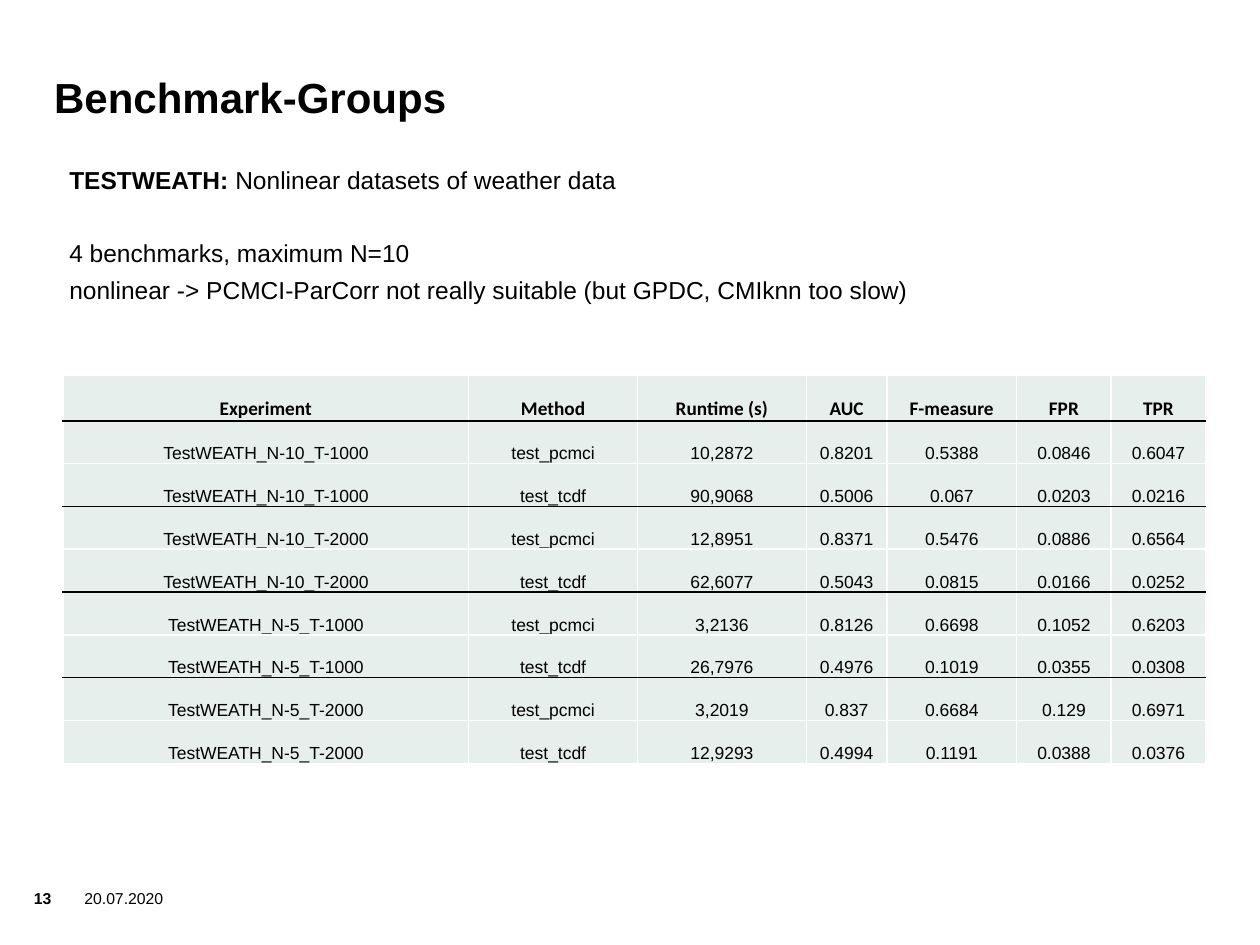
import pptx
import pptx.dml.color
import pptx.enum.text
import pptx.oxml
import pptx.oxml.ns
import pptx.util
from pptx.util import Inches

COLORS = {"text": "000000", "rule": "000000", "grid": "FFFFFF", "cell": "E7EFED"}


class SlideBuilder:
    """Holds the text style and the current slide."""

    def __init__(self, slide, font="Arial"):
        self.slide = slide
        self.font = font

    def style_run(self, r, size, bold=False, font=None):
        r.font.name = font or self.font
        r.font.size = pptx.util.Pt(size)
        r.font.bold = bold
        r.font.color.rgb = pptx.dml.color.RGBColor.from_string(COLORS["text"])

    def text(self, box, lines, size, anchor="TOP", indent=0):
        """Each line is (space before in points, [(text, bold), ...])."""
        sp = self.slide.shapes.add_textbox(*[Inches(v) for v in box])
        tf = sp.text_frame
        tf.word_wrap = True
        tf.vertical_anchor = pptx.enum.text.MSO_ANCHOR[anchor]
        tf.margin_left = tf.margin_right = tf.margin_top = tf.margin_bottom = 0
        for i, (space, runs) in enumerate(lines):
            p = tf.add_paragraph() if i else tf.paragraphs[0]
            p.space_before = pptx.util.Pt(space)
            if indent:
                p._p.get_or_add_pPr().set("marL", str(Inches(indent)))
            for content, bold in runs:
                r = p.add_run()
                r.text = content
                self.style_run(r, size, bold)

    def border(self, cell, side, color):
        ln = pptx.oxml.parse_xml(
            f'<a:ln{side} {pptx.oxml.ns.nsdecls("a")} w="12700"><a:solidFill>'
            f'<a:srgbClr val="{COLORS[color]}"/></a:solidFill></a:ln{side}>')
        cell._tc.get_or_add_tcPr().append(ln)

    def cell(self, cell, content, header, top, bottom):
        cell.margin_left = cell.margin_right = cell.margin_top = Inches(0.01)
        cell.margin_bottom = 0
        cell.vertical_anchor = pptx.enum.text.MSO_ANCHOR.BOTTOM
        for side, color in (("L", "grid"), ("R", "grid"), ("T", top), ("B", bottom)):
            self.border(cell, side, color)
        cell.fill.solid()
        cell.fill.fore_color.rgb = pptx.dml.color.RGBColor.from_string(COLORS["cell"])
        p = cell.text_frame.paragraphs[0]
        p.text = content
        p.alignment = pptx.enum.text.PP_ALIGN.CENTER
        if header:
            self.style_run(p.runs[0], 11, True, "Calibri")
        else:
            self.style_run(p.runs[0], 10)

    def table(self, left, top, widths, header_height, row_height, rows):
        heights = [header_height] + [row_height] * (len(rows) - 1)
        frame = self.slide.shapes.add_table(
            len(rows), len(widths), Inches(left), Inches(top),
            Inches(sum(widths)), Inches(sum(heights)))
        table = frame.table
        for column, width in zip(table.columns, widths):
            column.width = Inches(width)
        for i, (height, values) in enumerate(zip(heights, rows)):
            table.rows[i].height = Inches(height)
            # A dark rule follows the header and each pair of results
            above = "rule" if i % 2 else "grid"
            below = "rule" if i % 2 == 0 and i < len(rows) - 1 else "grid"
            for j, value in enumerate(values):
                self.cell(table.cell(i, j), value, i == 0, above, below)


HEADER = ["Experiment", "Method", "Runtime (s)", "AUC", "F-measure", "FPR", "TPR"]
# Per experiment: one result row for each method
METHODS = ["test_pcmci", "test_tcdf"]
RESULTS = {
    "TestWEATH_N-10_T-1000": [
        ["10,2872", "0.8201", "0.5388", "0.0846", "0.6047"],
        ["90,9068", "0.5006", "0.067", "0.0203", "0.0216"]],
    "TestWEATH_N-10_T-2000": [
        ["12,8951", "0.8371", "0.5476", "0.0886", "0.6564"],
        ["62,6077", "0.5043", "0.0815", "0.0166", "0.0252"]],
    "TestWEATH_N-5_T-1000": [
        ["3,2136", "0.8126", "0.6698", "0.1052", "0.6203"],
        ["26,7976", "0.4976", "0.1019", "0.0355", "0.0308"]],
    "TestWEATH_N-5_T-2000": [
        ["3,2019", "0.837", "0.6684", "0.129", "0.6971"],
        ["12,9293", "0.4994", "0.1191", "0.0388", "0.0376"]],
}


def main():
    prs = pptx.Presentation()
    prs.slide_width, prs.slide_height = Inches(10), Inches(7.5)
    s = SlideBuilder(prs.slides.add_slide(prs.slide_layouts[6]))

    # Footer: page number and date
    s.text((0.27, 7.05, 0.36, 0.24), [(0, [("13", True)])], 9)
    s.text((0.67, 7.05, 0.94, 0.39), [(0, [("20.07.2020", False)])], 9)

    # Title and description
    s.text((0.43, 0.36, 7.56, 0.61), [(0, [("Benchmark-Groups", True)])], 24, "BOTTOM")
    s.text((0.43, 1.31, 9.14, 1.67), [
        (0, [("TESTWEATH: ", True), ("Nonlinear datasets of weather data", False)]),
        (25, [("4 benchmarks, maximum N=10", False)]),
        (4, [("nonlinear -> PCMCI-ParCorr not really suitable "
              "(but GPDC, CMIknn too slow)", False)]),
    ], 14, indent=0.12)

    # Benchmark results
    rows = [HEADER] + [[experiment, method] + values
                       for experiment, results in RESULTS.items()
                       for method, values in zip(METHODS, results)]
    s.table(0.5, 2.98, [3.22, 1.34, 1.34, 0.64, 1.03, 0.75, 0.75], 0.36, 0.34, rows)

    prs.save("out.pptx")


if __name__ == "__main__":
    main()
